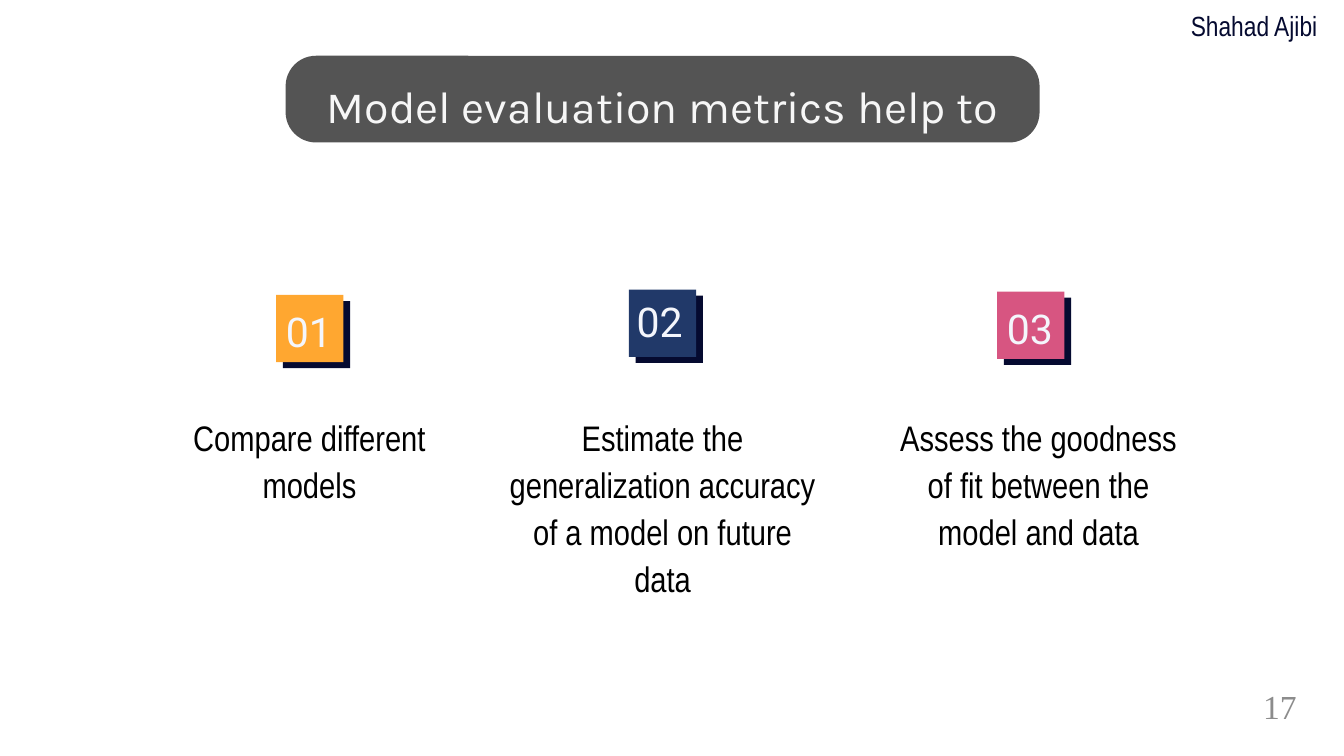
"""Build the slide on what model evaluation metrics help to do."""
from pptx import Presentation
from pptx.dml.color import RGBColor
from pptx.enum.shapes import MSO_SHAPE as Shape
from pptx.enum.text import MSO_ANCHOR as Anchor, PP_ALIGN as Align
from pptx.util import Inches, Pt

color = RGBColor.from_string
NAVY, BLACK, PALE = "050A30", "000000", "F4F6FC"

presentation = Presentation()
presentation.slide_width, presentation.slide_height = Inches(20), Inches(11.25)
cell = presentation.slide_width / 20
slide = presentation.slides.add_slide(presentation.slide_layouts[5])
shapes = slide.shapes


def grid(*cells):
    """Turn grid cells into slide lengths."""
    return [round(count * cell) for count in cells]


def write(shape, text, hue, font, size, align, line=None, inset=0, anchor=Anchor.TOP):
    """Set one formatted paragraph in a shape."""
    frame = shape.text_frame
    margins = dict.fromkeys(("margin_left", "margin_right"), Inches(inset))
    margins |= dict.fromkeys(("margin_top", "margin_bottom"), Inches(inset / 2))
    for name, value in (margins | {"word_wrap": True, "vertical_anchor": anchor}).items():
        setattr(frame, name, value)
    paragraph = frame.paragraphs[0]
    paragraph.text = text
    paragraph.alignment = align
    if line:
        paragraph.line_spacing = Pt(line)
    for name, value in {"name": font, "size": Pt(size), "bold": False}.items():
        setattr(paragraph.font, name, value)
    paragraph.font.color.rgb = color(hue)


title_box = grid(4.25, 0.83, 11.22, 1.29)
banner = shapes.add_shape(Shape.ROUNDED_RECTANGLE, *title_box)
banner.adjustments[0] = 0.35
banner.shadow.inherit = False
banner.fill.solid()
banner.fill.fore_color.rgb = color("545454")
banner.line.fill.background()

title = shapes.title
for side, length in zip(("left", "top", "width", "height"), title_box):
    setattr(title, side, length)
shapes._spTree.append(title._element)
write(title, "Model evaluation metrics help to", "F6F6F6", "Karla", 48,
      Align.CENTER, 71.1, 0.1, Anchor.MIDDLE)

metrics = [
    ("01", "FFA730", (4.11, 4.39), (3.81, 4.44, 1.13), (2.48, 4.25),
     "Compare different models"),
    ("02", "213969", (9.36, 4.31), (9.14, 4.29, 1.02), (7.52, 4.68),
     "Estimate the generalization accuracy of a model on future data"),
    ("03", "D75581", (14.84, 4.34), (14.61, 4.4, 1.06), (13.19, 4.53),
     "Assess the goodness of fit between the model and data"),
]
for number, hue, (left, top), number_box, (text_left, text_width), text in metrics:
    for shift, fill in ((0.1, NAVY), (0, hue)):
        square = shapes.add_shape(Shape.RECTANGLE, *grid(left + shift, top + shift * 0.9, 1, 1))
        square.shadow.inherit = False
        square.fill.solid()
        square.fill.fore_color.rgb = color(fill)
        square.line.fill.background()
    label = shapes.add_textbox(*grid(*number_box, 0.81))
    write(label, number, PALE, "Roboto", 43.9, Align.RIGHT, 61.5)
    description = shapes.add_textbox(*grid(text_left, 6.13, text_width, 2.79))
    write(description, text, BLACK, "Arial Narrow", 38, Align.CENTER, 50.4)

author = shapes.add_textbox(*grid(17.72, 0.13, 2.62, 0.5))
write(author, "Shahad Ajibi", NAVY, "Arial Narrow", 29.7, Align.LEFT, 35.7)

page = shapes.add_shape(Shape.OVAL, *grid(18.42, 10.04, 1.25, 0.92))
page.shadow.inherit = False
page.fill.background()
page.line.fill.background()
write(page, "17", "8C8C8C", "Times New Roman", 36, Align.CENTER, inset=0.1, anchor=Anchor.MIDDLE)

presentation.save("out.pptx")
